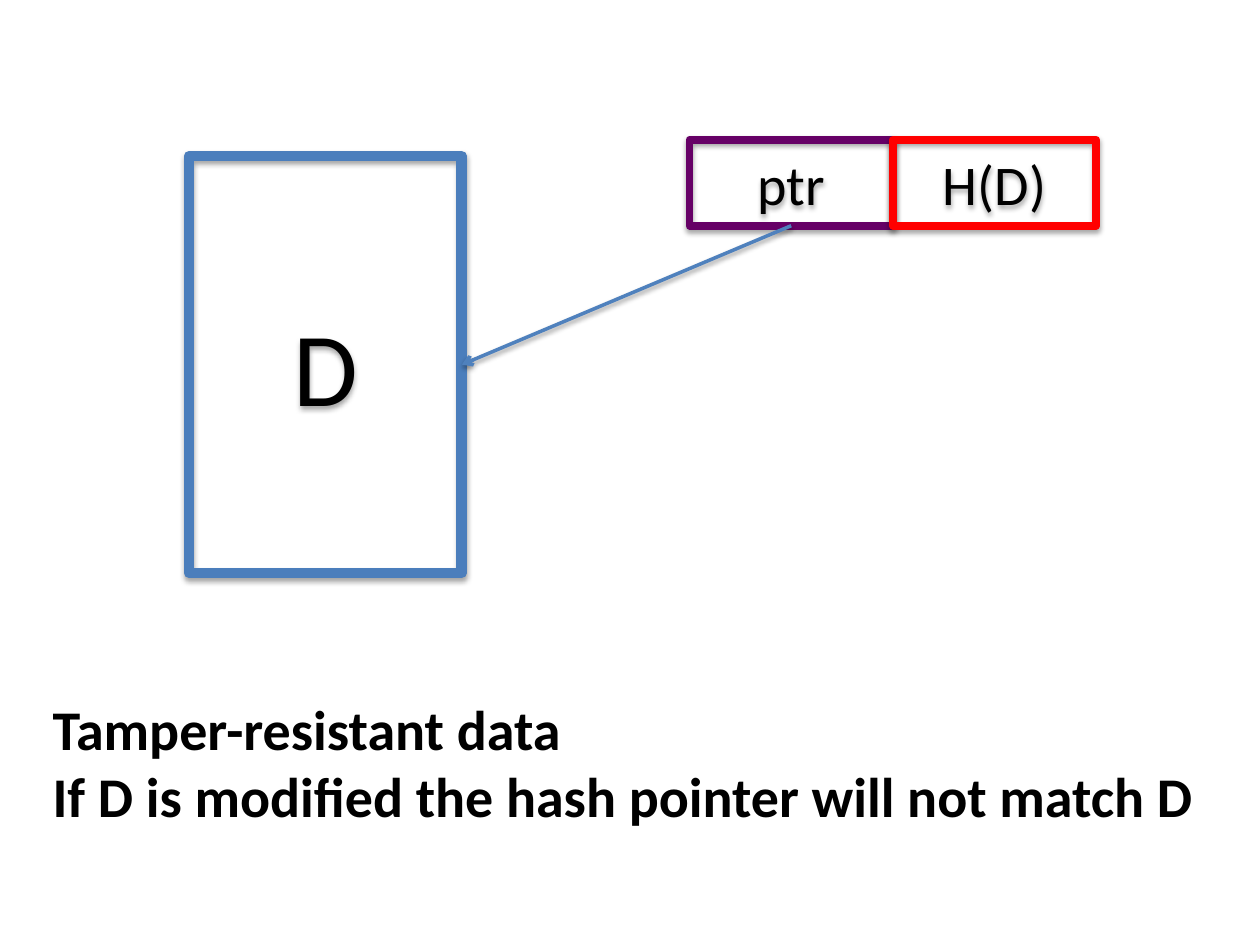
from dataclasses import dataclass

from lxml import etree
from pptx import Presentation
from pptx.dml.color import RGBColor
from pptx.enum.shapes import MSO_CONNECTOR, MSO_SHAPE
from pptx.enum.text import MSO_ANCHOR, MSO_AUTO_SIZE, PP_ALIGN
from pptx.oxml.ns import qn
from pptx.util import Cm, Pt

RECTANGLE = MSO_SHAPE.RECTANGLE
STRAIGHT = MSO_CONNECTOR.STRAIGHT
MIDDLE = MSO_ANCHOR.MIDDLE
CENTER = PP_ALIGN.CENTER
GROW = MSO_AUTO_SIZE.SHAPE_TO_FIT_TEXT
BOTTOM_SITE, RIGHT_SITE = 2, 3


@dataclass(frozen=True)
class Theme:
    """Colours, font and sizes of the slide."""
    font: str = "Calibri"
    text: RGBColor = RGBColor(0, 0, 0)
    data: RGBColor = RGBColor(0x4B, 0x7E, 0xBC)
    pointer: RGBColor = RGBColor(0x66, 0x00, 0x66)
    digest: RGBColor = RGBColor(0xFF, 0x00, 0x00)
    arrow: RGBColor = RGBColor(0x4F, 0x81, 0xBD)
    data_size: Pt = Pt(60)
    body_size: Pt = Pt(32)
    data_line: Pt = Pt(6)
    cell_line: Pt = Pt(4.5)
    arrow_line: Pt = Pt(2)


THEME = Theme()


def add_shadow(effects, distance, opacity):
    """Put a soft downward shadow into an effect list."""
    shadow = etree.SubElement(
        effects, qn("a:outerShdw"), blurRad=str(Pt(3.1)), dist=str(Pt(distance)),
        dir="5400000", rotWithShape="0")
    colour = etree.SubElement(shadow, qn("a:srgbClr"), val="000000")
    etree.SubElement(colour, qn("a:alpha"), val=str(opacity * 1000))


def style_paragraph(paragraph, text, size, bold=False):
    """Write text into a paragraph and set its font."""
    paragraph.text = text
    font = paragraph.font
    font.name, font.size, font.bold = THEME.font, size, bold
    font.color.rgb = THEME.text


def add_outlined_box(slide, left, top, width, height, label, colour, line_width, size):
    """Draw an unfilled box with a centred label."""
    shape = slide.shapes.add_shape(RECTANGLE, left, top, width, height)
    shape.fill.background()
    shape.line.color.rgb = colour
    shape.line.width = line_width
    shape.shadow.inherit = False
    add_shadow(shape._element.spPr.find(qn("a:effectLst")), 1.8, 35)
    shape.text_frame.vertical_anchor = MIDDLE
    paragraph = shape.text_frame.paragraphs[0]
    paragraph.alignment = CENTER
    style_paragraph(paragraph, label, size)
    return shape


def add_hash_pointer(slide, left, top, width, height):
    """Draw the pointer and hash cells side by side and return the pointer."""
    cells = (("ptr", THEME.pointer), ("H(D)", THEME.digest))
    cell_width = width // len(cells)
    shapes = [
        add_outlined_box(slide, left + index * cell_width, top, cell_width, height,
                         label, colour, THEME.cell_line, THEME.body_size)
        for index, (label, colour) in enumerate(cells)]
    return shapes[0]


def add_arrow(slide, source, target):
    """Link the bottom of the source to the right side of the target."""
    connector = slide.shapes.add_connector(STRAIGHT, 0, 0, 0, 0)
    connector.begin_connect(source, BOTTOM_SITE)
    connector.end_connect(target, RIGHT_SITE)
    connector.line.color.rgb = THEME.arrow
    connector.line.width = THEME.arrow_line
    properties = connector._element.spPr
    etree.SubElement(properties.find(qn("a:ln")), qn("a:tailEnd"), type="arrow")
    add_shadow(etree.SubElement(properties, qn("a:effectLst")), 1.6, 38)


def add_statement(slide, left, top, width, height, lines):
    """Write the bold lines below the diagram."""
    frame = slide.shapes.add_textbox(left, top, width, height).text_frame
    frame.word_wrap = False
    frame.auto_size = GROW
    for index, line in enumerate(lines):
        paragraph = frame.add_paragraph() if index else frame.paragraphs[0]
        style_paragraph(paragraph, line, THEME.body_size, bold=True)


def main():
    """Build and save the slide."""
    presentation = Presentation()
    presentation.slide_width, presentation.slide_height = Cm(25.4), Cm(19.05)
    slide = presentation.slides.add_slide(presentation.slide_layouts[6])
    data = add_outlined_box(slide, Cm(3.81), Cm(3.15), Cm(5.5), Cm(8.4), "D",
                            THEME.data, THEME.data_line, THEME.data_size)
    pointer = add_hash_pointer(slide, Cm(13.9), Cm(2.82), Cm(8.2), Cm(1.73))
    add_arrow(slide, pointer, data)
    add_statement(slide, Cm(0.81), Cm(13.87), Cm(23.77), Cm(3), (
        "Tamper-resistant data",
        "If D is modified the hash pointer will not match D"))
    presentation.save("out.pptx")


main()
